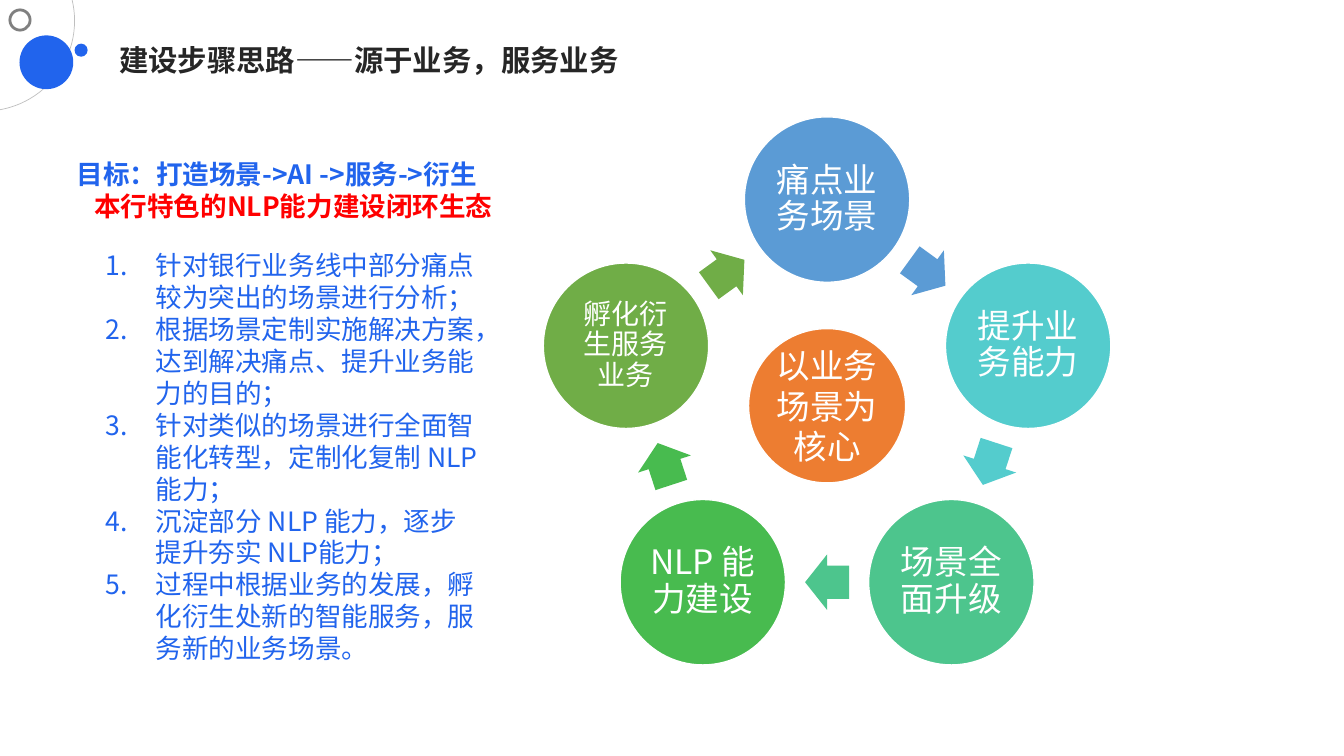
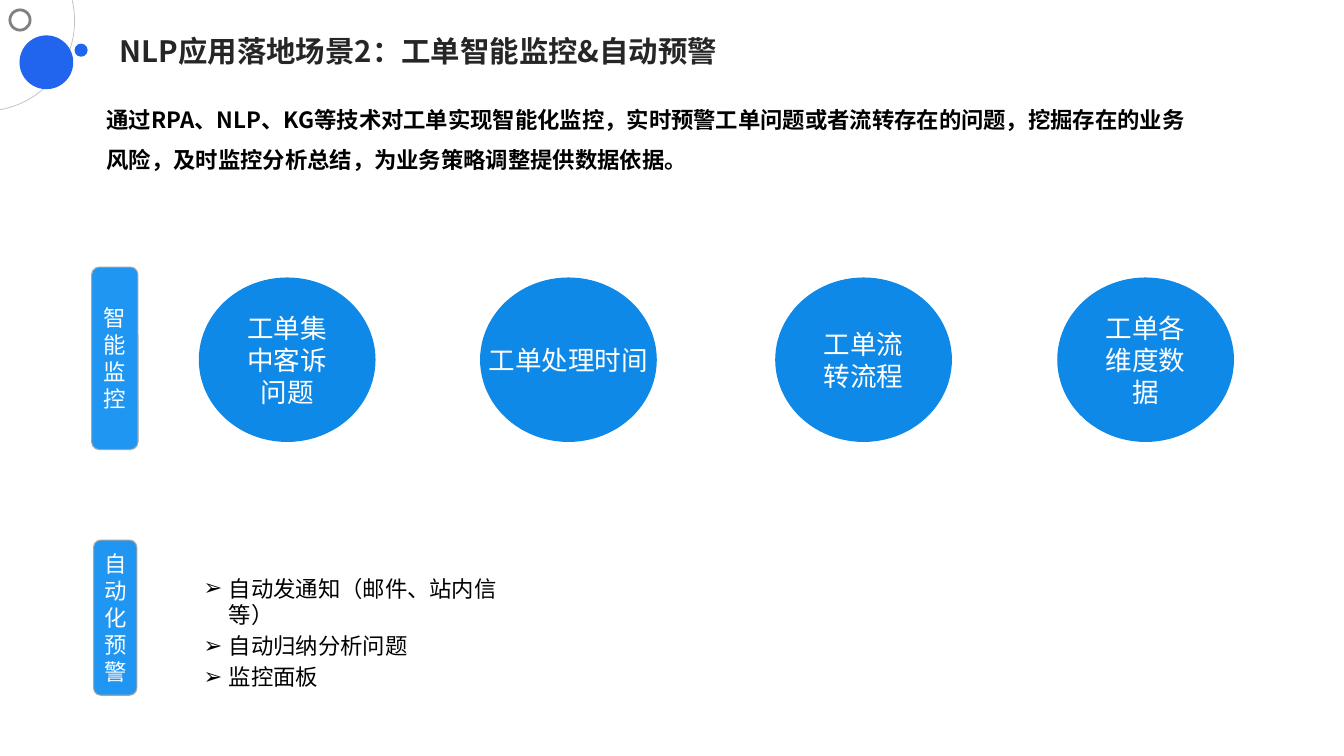
from math import cos, radians, sin

from lxml.etree import SubElement
from pptx import Presentation
from pptx.dml.color import RGBColor
from pptx.enum.shapes import MSO_SHAPE
from pptx.enum.text import MSO_ANCHOR, MSO_AUTO_SIZE, PP_ALIGN
from pptx.oxml.ns import qn
from pptx.util import Cm, Pt

# Shared look
FONT = "Noto Sans CJK SC"
WHITE = RGBColor(0xFF, 0xFF, 0xFF)
BLACK = RGBColor(0x00, 0x00, 0x00)
RED = RGBColor(0xFF, 0x00, 0x00)
INK = RGBColor(0x26, 0x26, 0x26)
ACCENT = RGBColor(0x21, 0x64, 0xED)
ARC_GREY = RGBColor(0xBF, 0xBF, 0xBF)
RING_GREY = RGBColor(0x80, 0x80, 0x80)
TAG_GREY = RGBColor(0xA6, 0xA6, 0xA6)
TAG_BLUE = RGBColor(0x20, 0x96, 0xF3)
TOPIC_BLUE = RGBColor(0x0F, 0x89, 0xE8)
ORANGE = RGBColor(0xED, 0x7D, 0x31)

DEFAULT_INSETS = (0.25, 0.13, 0.25, 0.13)
TIGHT_INSETS = (0.08, 0.08, 0.08, 0.08)
TITLE_INSETS = (0.33, 0.18, 0.33, 0.18)
CENTERED = {"alignment": PP_ALIGN.CENTER}

# Ring of the business cycle: text, size, colour, clockwise from the top
CYCLE_STEPS = [
    ("痛点业务场景", 24, RGBColor(0x5B, 0x9B, 0xD5)),
    ("提升业务能力", 24, RGBColor(0x54, 0xCC, 0xCD)),
    ("场景全面升级", 24, RGBColor(0x4D, 0xC5, 0x8D)),
    ("NLP 能力建设", 24, RGBColor(0x48, 0xBB, 0x4F)),
    ("孵化衍生服务业务", 20, RGBColor(0x70, 0xAD, 0x47)),
]
CYCLE_CENTER = (20.85, 10.36)
STEP_RADIUS, ARROW_RADIUS = 5.33, 4.31
STEP_SIZE, ARROW_SIZE = (4.17, 4.17), (1.11, 1.4)

BUILD_STEPS = [
    "针对银行业务线中部分痛点较为突出的场景进行分析；",
    "根据场景定制实施解决方案，达到解决痛点、提升业务能力的目的；",
    "针对类似的场景进行全面智能化转型，定制化复制 NLP 能力；",
    "沉淀部分 NLP 能力，逐步提升夯实 NLP能力；",
    "过程中根据业务的发展，孵化衍生处新的智能服务，服务新的业务场景。",
]

# Monitored topics: left edge, text, wrapped or not
TOPICS = [
    (5.03, "工单集中客诉问题", True),
    (12.12, "工单处理时间", False),
    (19.56, "工单流转流程", True),
    (26.67, "工单各维度数据", True),
]
TAGS = [
    ((2.31, 6.73, 1.17, 4.6), "智能监控"),
    ((2.36, 13.61, 1.09, 3.91), "自动化预警"),
]
ALERTS = ["自动发通知（邮件、站内信等）", "自动归纳分析问题", "监控面板"]


def set_attributes(target, values):
    for name, value in values.items():
        setattr(target, name, value)


def place(shape, box):
    names = ("left", "top", "width", "height")
    set_attributes(shape, {name: Cm(length) for name, length in zip(names, box)})


def prepare_frame(frame, insets, anchor=MSO_ANCHOR.TOP, wrap=True):
    names = ("margin_left", "margin_top", "margin_right", "margin_bottom")
    set_attributes(frame, {name: Cm(inset) for name, inset in zip(names, insets)})
    set_attributes(frame, {"word_wrap": wrap, "vertical_anchor": anchor,
                           "auto_size": MSO_AUTO_SIZE.NONE})


def set_bullet(paragraph, bullet, margin, indent):
    """Gives a paragraph a hanging bullet; bullet is (tag, attribute, value)."""
    tag, attribute, value = bullet
    properties = paragraph._p.get_or_add_pPr()
    properties.set("marL", str(Cm(margin)))
    properties.set("indent", str(Cm(indent)))
    SubElement(properties, qn(tag)).set(attribute, value)


def add_text(frame, texts, size, color, bold=False, layout=None, bullet=None, gap=0):
    """Fills an empty frame, or appends paragraphs to a filled one."""
    for text in texts:
        is_first = not frame.text
        paragraph = frame.paragraphs[0] if is_first else frame.add_paragraph()
        if bullet:
            set_bullet(paragraph, *bullet)
        values = {"alignment": PP_ALIGN.LEFT, "line_spacing": 1.0,
                  "space_before": Pt(0 if is_first else gap)}
        set_attributes(paragraph, {**values, **(layout or {})})
        run = paragraph.add_run()
        run.text = text
        set_attributes(run.font, {"name": FONT, "size": Pt(size), "bold": bold})
        run.font.color.rgb = color
        SubElement(run._r.get_or_add_rPr(), qn("a:ea")).set("typeface", FONT)


def add_figure(slide, kind, box, fill=None, line=None, line_width=1):
    shape = slide.shapes.add_shape(kind, *(Cm(length) for length in box))
    shape.shadow.inherit = False
    if fill is None:
        shape.fill.background()
    else:
        shape.fill.solid()
        shape.fill.fore_color.rgb = fill
    if line is None:
        shape.line.fill.background()
    else:
        shape.line.color.rgb = line
        shape.line.width = Pt(line_width)
    return shape


def add_label(shape, text, size, insets=TIGHT_INSETS, wrap=True, line_spacing=1.0):
    prepare_frame(shape.text_frame, insets, MSO_ANCHOR.MIDDLE, wrap)
    add_text(shape.text_frame, [text], size, WHITE,
             layout={**CENTERED, "line_spacing": line_spacing})


def add_text_box(slide, box, insets=DEFAULT_INSETS):
    text_box = slide.shapes.add_textbox(*(Cm(length) for length in box))
    prepare_frame(text_box.text_frame, insets)
    return text_box.text_frame


def set_title(slide, text, left, top):
    title = slide.shapes.title
    place(title, (left, top, 27.38, 1.17))
    prepare_frame(title.text_frame, TITLE_INSETS)
    add_text(title.text_frame, [text], 21, INK, bold=True, layout={"line_spacing": 0.9})


def set_list(slide, box, texts, size, color, bullet, gap=0, insets=DEFAULT_INSETS):
    body = slide.placeholders[1]
    place(body, box)
    prepare_frame(body.text_frame, insets)
    add_text(body.text_frame, texts, size, color, bullet=bullet, gap=gap)


def centered_box(center, radius, angle, size):
    """Box of a size whose middle lies on a ring, angle clockwise from the top."""
    x = center[0] + radius * sin(radians(angle))
    y = center[1] - radius * cos(radians(angle))
    return x - size[0] / 2, y - size[1] / 2, *size


def decorate_layout(layout, slide):
    """Draws the corner circles and moves them to the shared layout."""
    for placeholder in list(layout.placeholders):
        if placeholder.placeholder_format.idx >= 10:
            layout.shapes.element.remove(placeholder.element)
    arc = add_figure(slide, MSO_SHAPE.ARC, (-2.67, -1.75, 4.55, 4.55),
                     line=ARC_GREY, line_width=0.5)
    arc.adjustments[0], arc.adjustments[1] = 207.72, 48.6
    circles = [
        ((0.51, 0.91, 1.32, 1.32), ACCENT, ACCENT, 1),
        ((1.88, 1.1, 0.33, 0.33), ACCENT, None, 0),
        ((0.25, 0.25, 0.51, 0.51), None, RING_GREY, 2),
    ]
    corner = [arc] + [add_figure(slide, MSO_SHAPE.OVAL, *circle) for circle in circles]
    for shape in corner:
        layout.shapes.element.append(shape.element)


def add_cycle(slide):
    turn = 360 / len(CYCLE_STEPS)
    for index, (text, size, color) in enumerate(CYCLE_STEPS):
        angle = index * turn
        step = add_figure(slide, MSO_SHAPE.OVAL,
                          centered_box(CYCLE_CENTER, STEP_RADIUS, angle, STEP_SIZE),
                          color, WHITE)
        add_label(step, text, size, line_spacing=0.9)
        arrow_angle = angle + turn / 2
        arrow = add_figure(slide, MSO_SHAPE.RIGHT_ARROW,
                           centered_box(CYCLE_CENTER, ARROW_RADIUS, arrow_angle, ARROW_SIZE),
                           color)
        arrow.adjustments[0], arrow.adjustments[1] = 0.6, 0.5
        arrow.rotation = arrow_angle
    core = add_figure(slide, MSO_SHAPE.OVAL, (18.87, 8.28, 3.96, 3.89), ORANGE, WHITE)
    add_label(core, "以业务场景为核心", 24)


def build_approach_slide(slide):
    set_title(slide, "建设步骤思路——源于业务，服务业务", 2.67, 0.97)
    add_cycle(slide)
    numbering = (("a:buAutoNum", "type", "arabicPeriod"), 1.27, -1.27)
    set_list(slide, (2.41, 6.15, 9.91, 10.82), BUILD_STEPS, 19, ACCENT, numbering)
    goal = add_text_box(slide, (1.68, 3.86, 11.43, 1.88))
    add_text(goal, ["目标：打造场景->AI ->服务->衍生"], 19, ACCENT, bold=True)
    add_text(goal, ["本行特色的NLP能力建设闭环生态"], 19, RED, bold=True, layout=CENTERED)


def build_monitoring_slide(slide):
    set_title(slide, "NLP应用落地场景2：工单智能监控&自动预警", 2.69, 0.76)
    summary = add_text_box(slide, (2.69, 2.34, 27.38, 2.13), (0, 0, 0, 0.13))
    add_text(summary, ["通过RPA、NLP、KG等技术对工单实现智能化监控，实时预警工单问题"
                       "或者流转存在的问题，挖掘存在的业务风险，及时监控分析总结，"
                       "为业务策略调整提供数据依据。"],
             16, BLACK, bold=True, layout={"line_spacing": 1.5})
    for left, text, wrap in TOPICS:
        topic = add_figure(slide, MSO_SHAPE.OVAL, (left, 7.01, 4.42, 4.11),
                           TOPIC_BLUE, TOPIC_BLUE)
        add_label(topic, text, 19, DEFAULT_INSETS, wrap)
    for box, text in TAGS:
        tag = add_figure(slide, MSO_SHAPE.ROUNDED_RECTANGLE, box, TAG_BLUE, TAG_GREY, 0.75)
        add_label(tag, text, 16)
    arrowhead = (("a:buChar", "char", "➢"), 0.74, -0.64)
    set_list(slide, (5.03, 14.38, 8.59, 3.15), ALERTS, 16, BLACK, arrowhead,
             gap=2.9, insets=(0, 0.1, 0, 0))


def main():
    presentation = Presentation()
    presentation.slide_width, presentation.slide_height = Cm(33.88), Cm(19.05)
    layout = presentation.slide_layouts[1]
    approach, monitoring = (presentation.slides.add_slide(layout) for _ in range(2))
    decorate_layout(layout, approach)
    build_approach_slide(approach)
    build_monitoring_slide(monitoring)
    presentation.save("out.pptx")


if __name__ == "__main__":
    main()
